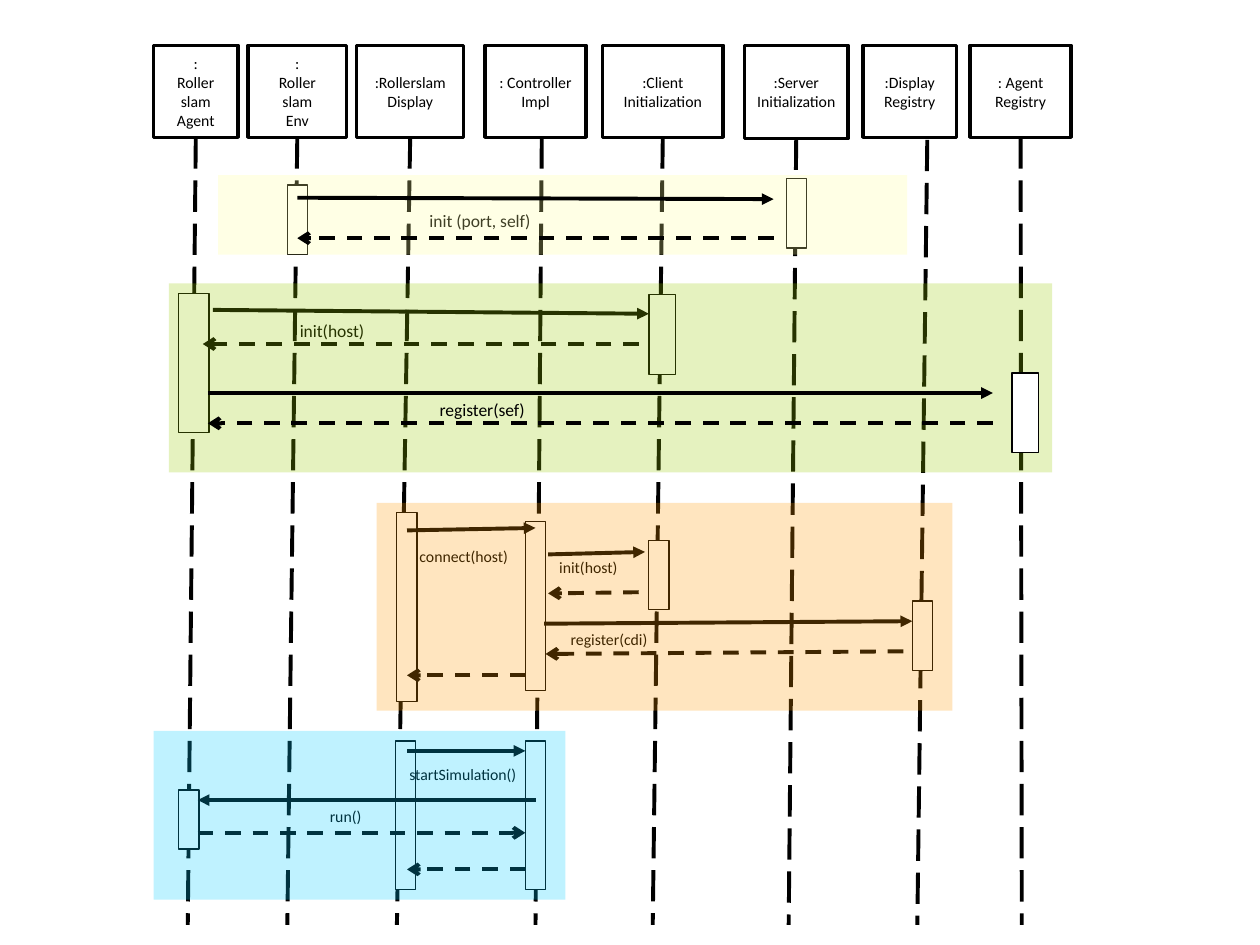
from dataclasses import dataclass

from lxml.etree import SubElement
from pptx import Presentation
from pptx.dml.color import RGBColor
from pptx.enum.dml import MSO_LINE_DASH_STYLE as Dash
from pptx.enum.shapes import MSO_CONNECTOR as Connector, MSO_SHAPE as Preset
from pptx.enum.text import MSO_ANCHOR as Anchor, MSO_AUTO_SIZE as AutoSize, PP_ALIGN as Align
from pptx.oxml.ns import qn
from pptx.util import Pt

BLACK = RGBColor(0x00, 0x00, 0x00)
WHITE = RGBColor(0xFF, 0xFF, 0xFF)
YELLOW = RGBColor(0xFF, 0xFF, 0x99)
GREEN = RGBColor(0x99, 0xCC, 0x00)
ORANGE = RGBColor(0xFF, 0x99, 0x00)
BLUE = RGBColor(0x00, 0xCC, 0xFF)

FONT = "Calibri"
HEADER_TOP, HEADER_HEIGHT = 25.9, 52.6
LIFELINE_END = 528.5
BAND_ALPHA = 25000
BOTTOM_SITE = 2


@dataclass
class Participant:
    lines: list[str]
    left: float
    width: float
    start: tuple[float, float]
    end_x: float
    height: float = HEADER_HEIGHT


@dataclass
class Activation:
    left: float
    top: float
    height: float
    width: float = 11.5


@dataclass
class Message:
    x1: float
    y1: float
    x2: float
    y2: float
    reply: bool = False


@dataclass
class Label:
    text: str
    left: float
    top: float
    width: float
    size: float = 9
    wrap: bool = True


@dataclass
class Band:
    left: float
    top: float
    width: float
    height: float
    color: RGBColor


PARTICIPANTS = [
    Participant([":Rollerslam", "Display"], 203.8, 61.2, (234.7, 79.9), 226.8),
    Participant([":Client", "Initialization"], 344.2, 69.1, (378.7, 79.9), 373),
    Participant([":Display", "Registry"], 493.2, 53.3, (529.9, 79.9), 524.2),
    Participant([": Controller", "Impl"], 277.2, 57.6, (309.6, 78.5), 306),
    Participant([": Agent", "Registry"], 554.4, 57.6, (584.6, 77), 583.9),
    Participant([":Server", "Initialization"], 425.5, 59, (455, 80.6), 450.7, 53.3),
    Participant([":", "Roller", "slam", "Env"], 141.8, 56.2, (169.9, 79.9), 164.2),
    Participant([":", "Roller", "slam", "Agent"], 87.8, 48.2, (112.3, 79.9), 107.3),
]

# Each phase lists its parts from back to front.
CONNECT_PHASE = [
    Activation(370.8, 308.9, 39.6),
    Activation(521.3, 343.4, 39.6),
    Activation(226.8, 293, 108),
    Activation(300.2, 298.1, 96.5),
    Label("init(host)", 312.5, 315.4, 47.5, wrap=False),
    Message(365, 338.4, 313.2, 339.1, reply=True),
    Label("register(cdi)", 319, 356.4, 58.3, wrap=False),
    Message(516.2, 372.2, 311.8, 373.7, reply=True),
    Label("connect(host)", 232.6, 308.9, 79.2),
    Message(300.2, 385.9, 232.6, 385.9, reply=True),
    Message(232.6, 303.1, 306, 301.7),
    Message(313.2, 316.8, 368.6, 315.4),
    Message(311, 356.4, 521.3, 355),
    Band(215.3, 287.3, 329, 118.8, ORANGE),
]
SIMULATION_PHASE = [
    Activation(226.1, 423.4, 85),
    Activation(300.2, 423.4, 85),
    Activation(102.2, 451.4, 33.8),
    Label("startSimulation()", 226.8, 433.4, 90.7),
    Label("run()", 181.4, 457.2, 33.8),
    Message(113, 475.9, 300.2, 475.9, reply=True),
    Message(300.2, 496.8, 232.6, 496.8, reply=True),
    Message(232.6, 429.1, 300.2, 429.1),
    Message(306, 457.2, 113, 457.2),
    Band(87.8, 417.6, 235.4, 96.5, BLUE),
]
REGISTER_PHASE = [
    Activation(102.2, 167.8, 79.2, 17.3),
    Label("init(host)", 164.2, 179.3, 56.9, 10),
    Activation(370.8, 168.5, 45.4, 15.1),
    Message(365, 196.6, 115.9, 196.6, reply=True),
    Message(121.7, 177.1, 370.8, 179.3),
    Band(96.5, 162, 504.7, 108, GREEN),
    Activation(578.2, 213.1, 45.4, 15.1),
    Message(118.8, 224.6, 567.4, 224.6),
    Message(567.4, 241.9, 118.8, 241.9, reply=True),
    Label("register(sef)", 244.1, 224.6, 85, 10),
]
SERVER_PHASE = [
    Activation(449.3, 102.2, 39.6),
    Label("init (port, self)", 238.3, 116.6, 164.2, 10),
    Activation(164.2, 105.8, 39.6),
    Band(124.6, 100.1, 393.8, 45.4, YELLOW),
    Message(442.1, 136.1, 169.9, 136.1, reply=True),
    Message(169.9, 113, 442.1, 113.8),
]


def draw_rectangle(shapes, left: float, top: float, width: float, height: float,
                   fill: RGBColor = WHITE, outline: float = 0):
    box = shapes.add_shape(Preset.RECTANGLE, Pt(left), Pt(top), Pt(width), Pt(height))
    box.shadow.inherit = False
    box.fill.solid()
    box.fill.fore_color.rgb = fill
    if outline:
        box.line.color.rgb = BLACK
        box.line.width = Pt(outline)
    else:
        box.line.fill.background()
    return box


def draw_line(shapes, x1: float, y1: float, x2: float, y2: float, dash: Dash | None = None):
    line = shapes.add_connector(Connector.STRAIGHT, Pt(x1), Pt(y1), Pt(x2), Pt(y2))
    line.line.color.rgb = BLACK
    line.line.width = Pt(2.25)
    if dash:
        line.line.dash_style = dash
    SubElement(line.element.spPr, qn("a:effectLst"))
    return line


def write_lines(frame, lines: list[str], size: float, align: Align) -> None:
    for index, text in enumerate(lines):
        para = frame.add_paragraph() if index else frame.paragraphs[0]
        para.text = text
        para.alignment = align
        para.font.name = FONT
        para.font.size = Pt(size)
        para.font.color.rgb = BLACK


def draw_participant(shapes, person: Participant) -> None:
    """Draw the header box and the lifeline, joined where the line starts mid-side."""
    box = draw_rectangle(shapes, person.left, HEADER_TOP, person.width, person.height, outline=2)
    box.text_frame.word_wrap = True
    box.text_frame.vertical_anchor = Anchor.MIDDLE
    write_lines(box.text_frame, person.lines, 9, Align.CENTER)
    lifeline = draw_line(shapes, *person.start, person.end_x, LIFELINE_END, Dash.LONG_DASH)
    if abs(person.left + person.width / 2 - person.start[0]) < 2:
        lifeline.begin_connect(box, BOTTOM_SITE)


def draw_message(shapes, message: Message) -> None:
    line = draw_line(shapes, message.x1, message.y1, message.x2, message.y2,
                     Dash.DASH if message.reply else None)
    head = "arrow" if message.reply else "triangle"
    SubElement(line.element.spPr.find(qn("a:ln")), qn("a:tailEnd"), type=head)


def draw_label(shapes, label: Label) -> None:
    height = 18 if label.size == 9 else 19.4
    box = shapes.add_textbox(Pt(label.left), Pt(label.top), Pt(label.width), Pt(height))
    box.text_frame.word_wrap = label.wrap
    box.text_frame.auto_size = AutoSize.SHAPE_TO_FIT_TEXT
    write_lines(box.text_frame, [label.text], label.size, Align.LEFT)


def draw_band(shapes, band: Band) -> None:
    box = draw_rectangle(shapes, band.left, band.top, band.width, band.height, band.color)
    color = box.element.spPr.find(qn("a:solidFill")).find(qn("a:srgbClr"))
    SubElement(color, qn("a:alpha"), val=str(BAND_ALPHA))


def draw_activation(shapes, bar: Activation) -> None:
    draw_rectangle(shapes, bar.left, bar.top, bar.width, bar.height, outline=0.75)


DRAWERS = {Activation: draw_activation, Message: draw_message, Label: draw_label, Band: draw_band}


def main() -> None:
    deck = Presentation()
    deck.slide_width, deck.slide_height = Pt(720), Pt(540)
    page = deck.slides.add_slide(deck.slide_layouts[6])
    for person in PARTICIPANTS:
        draw_participant(page.shapes, person)
    for phase in (CONNECT_PHASE, SIMULATION_PHASE, REGISTER_PHASE, SERVER_PHASE):
        group = page.shapes.add_group_shape()
        for part in phase:
            DRAWERS[type(part)](group.shapes, part)
    deck.save("out.pptx")


if __name__ == "__main__":
    main()
